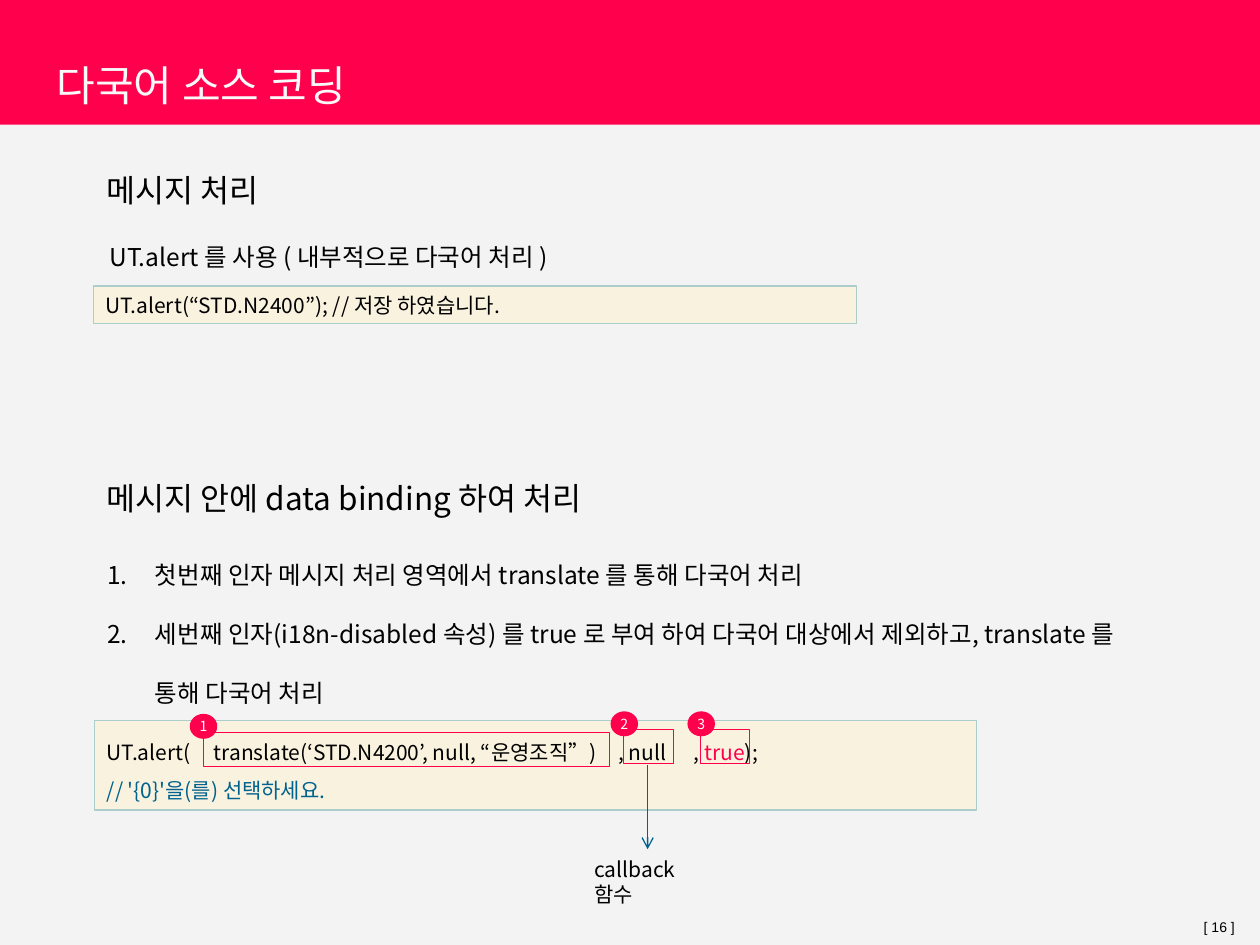
from dataclasses import dataclass

import pptx
import pptx.util
from pptx.dml.color import RGBColor
from pptx.enum.shapes import MSO_CONNECTOR, MSO_SHAPE
from pptx.enum.text import MSO_ANCHOR, MSO_AUTO_SIZE, PP_ALIGN
from pptx.oxml import parse_xml
from pptx.oxml.ns import nsdecls, qn
from pptx.util import Inches


@dataclass(frozen=True)
class Theme:
    font: str = "Noto Sans CJK KR"
    page_font: str = "Arial"
    background: str = "F3F3F3"
    accent: str = "FF004C"
    title: str = "F9F9F9"
    text: str = "000000"
    badge_text: str = "FFFFFF"
    comment: str = "01628D"
    code_fill: str = "FFF2CD"
    code_line: str = "ABCDCC"
    title_size: int = 24
    heading_size: int = 18
    body_size: int = 14
    code_size: int = 12
    small_size: int = 8


THEME = Theme()


def place(part, left, top, width, height):
    box = {"left": left, "top": top, "width": width, "height": height}
    for key, value in box.items():
        setattr(part, key, Inches(value))


def write(part, paragraphs, size, color=THEME.text, font=THEME.font,
          spacing=1.0, align=PP_ALIGN.LEFT, **frame_format):
    """Each paragraph is a list of (text, color) runs or a plain string."""
    frame = part.text_frame
    settings = {"word_wrap": True, "auto_size": MSO_AUTO_SIZE.NONE,
                "vertical_anchor": MSO_ANCHOR.TOP, **frame_format}
    for key, value in settings.items():
        setattr(frame, key, value)
    for index, content in enumerate(paragraphs):
        paragraph = frame.add_paragraph() if index else frame.paragraphs[0]
        layout = {"alignment": align, "line_spacing": spacing,
                  "space_before": pptx.util.Pt(0)}
        for key, value in layout.items():
            setattr(paragraph, key, value)
        runs = [(content, color)] if isinstance(content, str) else content
        for words, run_color in runs:
            run = paragraph.add_run()
            run.text = words
            run.font.name = font
            run.font.size = pptx.util.Pt(size)
            run.font.color.rgb = RGBColor.from_string(run_color)
            run.font._element.append(
                parse_xml(f'<a:ea {nsdecls("a")} typeface="{font}"/>'))
    return frame


def add_label(slide, box, words, size, **text_format):
    label = slide.shapes.add_textbox(*map(Inches, box))
    write(label, [words], size, **text_format)


def add_panel(slide, kind, box, fill=None, line=None, weight=0.75, alpha=None):
    panel = slide.shapes.add_shape(kind, *map(Inches, box))
    panel.shadow.inherit = False
    if fill:
        panel.fill.solid()
        panel.fill.fore_color.rgb = RGBColor.from_string(fill)
    else:
        panel.fill.background()
    if alpha:
        color = panel._element.spPr.find(qn("a:solidFill"))[0]
        color.append(parse_xml(f'<a:alpha {nsdecls("a")} val="{alpha * 1000}"/>'))
    if line:
        panel.line.color.rgb = RGBColor.from_string(line)
        panel.line.width = pptx.util.Pt(weight)
    else:
        panel.line.fill.background()
    return panel


def add_code(slide, box, lines, spacing=1.0):
    code = add_panel(slide, MSO_SHAPE.RECTANGLE, box, THEME.code_fill,
                     THEME.code_line, alpha=50)
    return write(code, lines, THEME.code_size, spacing=spacing)


def set_tabs(paragraph, stops):
    tabs = "".join(f'<a:tab pos="{Inches(stop)}" algn="l"/>' for stop in stops)
    paragraph._p.get_or_add_pPr().append(
        parse_xml(f'<a:tabLst {nsdecls("a")}>{tabs}</a:tabLst>'))


def number_list(frame, indent):
    for paragraph in frame.paragraphs:
        properties = paragraph._p.get_or_add_pPr()
        properties.set("marL", str(Inches(indent)))
        properties.set("indent", str(-Inches(indent)))
        properties.append(parse_xml(
            f'<a:buFont {nsdecls("a")} typeface="{THEME.font}"/>'))
        properties.append(parse_xml(
            f'<a:buAutoNum {nsdecls("a")} type="arabicPeriod"/>'))


def add_argument(slide, number, left, top, width):
    """Outline one argument and number it at its top left corner."""
    add_panel(slide, MSO_SHAPE.RECTANGLE, (left, top, width, 0.27),
              line=THEME.accent, weight=0.25)
    badge = add_panel(slide, MSO_SHAPE.OVAL,
                      (left - 0.09, top - 0.13, 0.19, 0.17),
                      THEME.accent, THEME.accent, weight=2)
    write(badge, [str(number)], THEME.small_size, THEME.badge_text,
          align=PP_ALIGN.CENTER, word_wrap=False, margin_left=0,
          margin_right=0, vertical_anchor=MSO_ANCHOR.MIDDLE)


def add_arrow(slide, x, top, bottom):
    arrow = slide.shapes.add_connector(MSO_CONNECTOR.STRAIGHT, Inches(x),
                                       Inches(top), Inches(x), Inches(bottom))
    arrow.line.color.rgb = RGBColor.from_string(THEME.comment)
    arrow.line.width = pptx.util.Pt(0.75)
    arrow.line._get_or_add_ln().append(
        parse_xml(f'<a:tailEnd {nsdecls("a")} type="arrow"/>'))
    arrow._element.spPr.append(parse_xml(f'<a:effectLst {nsdecls("a")}/>'))


def main():
    deck = pptx.Presentation()
    deck.slide_width, deck.slide_height = Inches(10), Inches(7.5)
    slide = deck.slides.add_slide(deck.slide_layouts[1])
    slide.background.fill.solid()
    slide.background.fill.fore_color.rgb = RGBColor.from_string(THEME.background)
    title, steps = slide.placeholders

    # Header band behind the title
    band = add_panel(slide, MSO_SHAPE.RECTANGLE, (0, 0, 10, 0.99), THEME.accent)
    slide.shapes._spTree.insert(2, band._element)
    place(title, 0.35, 0.36, 8.82, 0.63)
    write(title, ["다국어 소스 코딩"], THEME.title_size, THEME.title,
          vertical_anchor=MSO_ANCHOR.MIDDLE)

    # Plain messages
    add_label(slide, (0.75, 1.31, 1.41, 0.4), "메시지 처리", THEME.heading_size)
    add_label(slide, (0.77, 1.64, 8.5, 0.51),
              "UT.alert 를 사용 ( 내부적으로 다국어 처리 )",
              THEME.body_size, spacing=2.0)
    add_code(slide, (0.74, 2.27, 6.06, 0.3),
             ["UT.alert(“STD.N2400”); // 저장 하였습니다."])

    # Messages with bound data
    add_label(slide, (0.75, 3.75, 3.99, 0.4),
              "메시지 안에 data binding 하여 처리", THEME.heading_size)
    place(steps, 0.75, 4.16, 8.5, 1.99)
    step_text = write(steps, [
        "첫번째 인자 메시지 처리 영역에서 translate 를 통해 다국어 처리",
        "세번째 인자(i18n-disabled 속성) 를 true 로 부여 하여 다국어 대상에서 "
        "제외하고, translate 를 통해 다국어 처리",
    ], THEME.body_size, spacing=2.0)
    number_list(step_text, 0.38)
    call = add_code(slide, (0.75, 5.72, 7, 0.71), [
        [("UT.alert(\ttranslate(‘STD.N4200’, null, “운영조직”)\t, null\t, ",
          THEME.text), ("true", THEME.accent), (");", THEME.text)],
        [("// '{0}'을(를) 선택하세요.", THEME.comment)],
    ], spacing=1.5)
    set_tabs(call.paragraphs[0], (0.85, 4.06, 4.66))

    # Numbered arguments and the callback note
    arguments = [(1.61, 5.81, 3.23), (4.95, 5.79, 0.39), (5.56, 5.79, 0.39)]
    for number, argument in enumerate(arguments, start=1):
        add_argument(slide, number, *argument)
    add_arrow(slide, 5.14, 6.07, 6.74)
    add_label(slide, (4.62, 6.75, 1.16, 0.3), "callback 함수", THEME.code_size)

    # Page number
    add_label(slide, (9.58, 7.27, 0.32, 0.17), "[ 16 ]", THEME.small_size,
              font=THEME.page_font, align=PP_ALIGN.RIGHT, word_wrap=False,
              vertical_anchor=MSO_ANCHOR.MIDDLE)
    deck.save("out.pptx")


if __name__ == "__main__":
    main()
